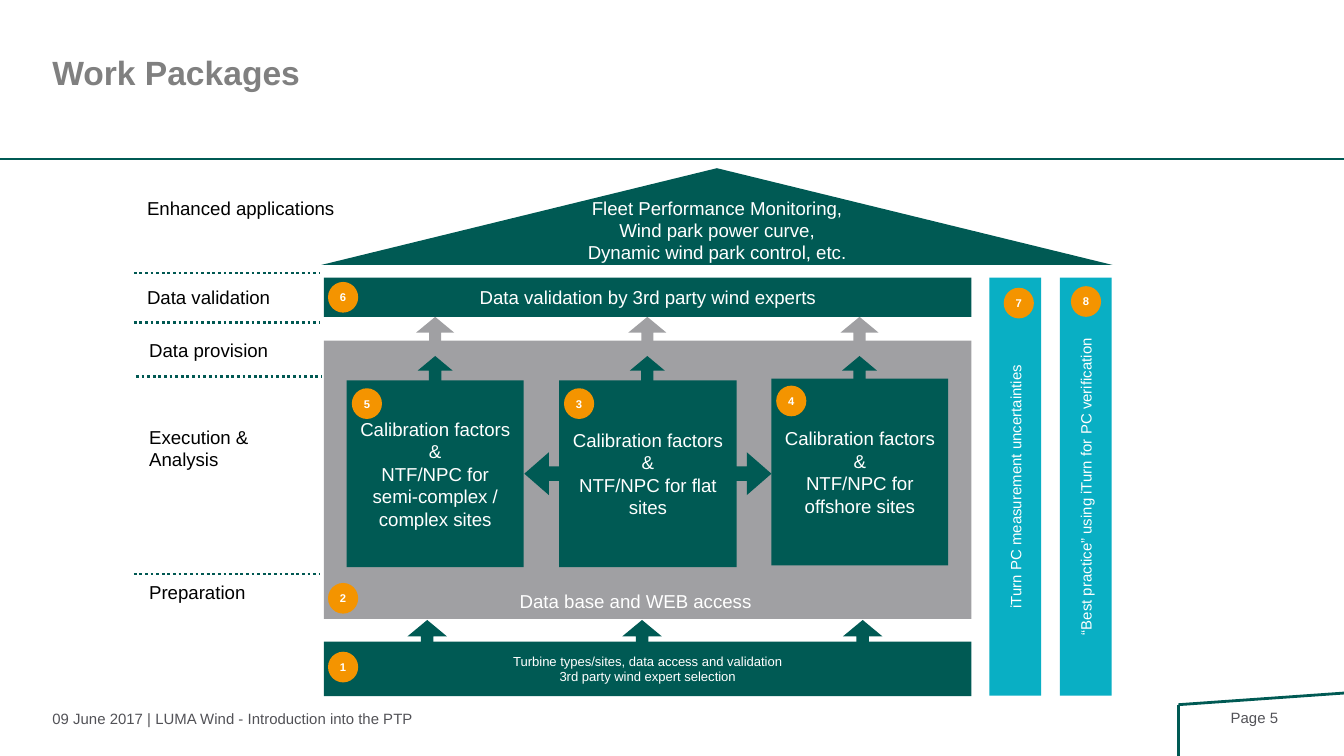
import pptx
import pptx.util
import pptx.dml.color
import pptx.enum.dml
import pptx.enum.shapes
import pptx.enum.text
import pptx.oxml.ns
from lxml import etree

Cm = pptx.util.Cm
Pt = pptx.util.Pt
SHAPES = pptx.enum.shapes.MSO_SHAPE
ALIGN = pptx.enum.text.PP_ALIGN
ANCHOR = pptx.enum.text.MSO_ANCHOR

GREEN, GREY, CYAN, ORANGE = "005A54", "A0A0A3", "09AFC4", "F49400"
WHITE, BLACK, TITLE_GREY, FOOTER_GREY = "FFFFFF", "000000", "808080", "525257"
DOTTED_GREEN = "005852"

WIDTH, HEIGHT = 25.4, 14.29
HOUSE_LEFT, HOUSE_WIDTH = 6.12, 12.24
COLUMNS = [6.65 + 4.01 * i for i in range(3)]
BASE_ARROWS = [6.35, 10.41, 14.58]
BADGE_WIDTH, BADGE_HEIGHT = 0.57, 0.58

CAPTIONS = [
    (2.53, 3.6, ["Enhanced applications"]),
    (2.53, 5.28, ["Data validation"]),
    (2.57, 6.27, ["Data provision"]),
    (2.57, 7.92, ["Execution &", "Analysis"]),
    (2.57, 10.85, ["Preparation"]),
]
DIVIDERS = [(2.53, 5.16), (2.53, 6.1), (2.57, 7.11), (2.53, 10.85)]
BANDS = [
    (12.13, 1.03, GREEN, 7, ["Turbine types/sites, data access and validation",
                             "3rd party wind expert selection"]),
    (6.44, 5.26, GREY, 10, []),
    (5.25, 0.74, GREEN, 10, ["Data validation by 3rd party wind experts"]),
]
ROOF = ["Fleet Performance Monitoring,", "Wind park power curve,",
        "Dynamic wind park control, etc."]
SITES = [
    (SHAPES.LEFT_RIGHT_ARROW_CALLOUT, 9.91, 7.19, 4.67,
     "NTF/NPC for flat sites", [0.078, 0.115, 0.132, 0.718]),
    (SHAPES.RECTANGLE, 14.58, 7.16, 3.34, "NTF/NPC for offshore sites", []),
    (SHAPES.RECTANGLE, 6.55, 7.19, 3.35,
     "NTF/NPC for semi-complex / complex sites", []),
]
PILLARS = [
    (18.7, "iTurn PC measurement uncertainties"),
    (20.03, "“Best practice” using iTurn for PC verification"),
]
BADGES = [
    ("1", 6.2, 12.32), ("2", 6.2, 11.02), ("6", 6.2, 5.33),
    ("5", COLUMNS[0], 7.34), ("3", COLUMNS[1], 7.34), ("4", COLUMNS[2], 7.29),
    ("7", 18.97, 5.44), ("8", 20.24, 5.41),
]
FRAME_LINES = [
    ((0, 3), (WIDTH, 3), 1),
    ((22.27, 13.32), (WIDTH, 13.1), 1.5),
    ((22.27, HEIGHT), (22.27, 13.32), 1.5),
]

deck = pptx.Presentation()
deck.slide_width, deck.slide_height = Cm(WIDTH), Cm(HEIGHT)
page = deck.slides.add_slide(deck.slide_layouts[6])


def color(value):
    return pptx.dml.color.RGBColor.from_string(value)


def write(box, lines, size, ink, align=ALIGN.LEFT, anchor=ANCHOR.TOP,
          bold=False, insets=(0.25, 0.13, 0.25, 0.13)):
    frame = box.text_frame
    frame.word_wrap = True
    frame.vertical_anchor = anchor
    (frame.margin_left, frame.margin_top,
     frame.margin_right, frame.margin_bottom) = [Cm(inset) for inset in insets]
    for index, line in enumerate(lines):
        para = frame.add_paragraph() if index else frame.paragraphs[0]
        para.alignment = align
        span = para.add_run()
        span.text = line
        span.font.name = "Arial"
        span.font.size = Pt(size)
        span.font.bold = bold
        span.font.color.rgb = color(ink)


def add_text(left, top, width, height, lines, size, ink, **style):
    box = page.shapes.add_textbox(Cm(left), Cm(top), Cm(width), Cm(height))
    write(box, lines, size, ink, **style)


def add_block(kind, left, top, width, height, fill, lines=(), size=10,
              adjustments=(), **style):
    block = page.shapes.add_shape(kind, Cm(left), Cm(top), Cm(width), Cm(height))
    block.shadow.inherit = False
    block.fill.solid()
    block.fill.fore_color.rgb = color(fill)
    block.line.fill.background()
    for index, value in enumerate(adjustments):
        block.adjustments[index] = value
    write(block, lines, size, WHITE, ALIGN.CENTER, ANCHOR.MIDDLE, **style)
    return block


def add_line(start, end, ink, weight, dash=None):
    line = page.shapes.add_connector(
        pptx.enum.shapes.MSO_CONNECTOR.STRAIGHT,
        Cm(start[0]), Cm(start[1]), Cm(end[0]), Cm(end[1]))
    line.line.color.rgb = color(ink)
    line.line.width = Pt(weight)
    if dash:
        line.line.dash_style = dash
    etree.SubElement(line._element.spPr, pptx.oxml.ns.qn("a:effectLst"))


def add_up_arrows(lefts, top, width, height, fill, adjustments):
    for left in lefts:
        add_block(SHAPES.UP_ARROW_CALLOUT, left, top, width, height, fill,
                  adjustments=adjustments)


for start, end, weight in FRAME_LINES:
    add_line(start, end, GREEN, weight)
add_text(0.99, 0.99, 18.01, 1.6, ["Work Packages"], 18, TITLE_GREY,
         bold=True, insets=(0, 0, 0, 0.13))
add_text(0.99, 13.41, 9, 0.61,
         ["09 June 2017 | LUMA Wind - Introduction into the PTP"],
         8, FOOTER_GREY, insets=(0, 0, 0, 0))
add_text(23.01, 13.39, 2.01, 0.61, ["Page 5"], 8, FOOTER_GREY,
         insets=(0.25, 0, 0.1, 0))

add_up_arrows(COLUMNS, 5.99, 3.15, 1.19, GREY, [0.191, 0.301, 0.25, 0.3])
add_up_arrows(BASE_ARROWS, 11.72, 3.45, 1.24, GREEN, [0.191, 0.301, 0.25, 0.65])
for top, height, fill, size, lines in BANDS:
    add_block(SHAPES.RECTANGLE, HOUSE_LEFT, top, HOUSE_WIDTH, height, fill,
              lines, size)
add_block(SHAPES.ISOSCELES_TRIANGLE, 6.07, 3.18, 14.96, 1.83, GREEN, ROOF,
          insets=(0, 0, 0, 0.41))
for kind, left, top, width, scope, adjustments in SITES:
    add_block(kind, left, top, width, 3.53, GREEN,
              ["Calibration factors &", scope], adjustments=adjustments)
add_up_arrows(COLUMNS, 6.73, 3.15, 0.76, GREEN, [0.306, 0.435, 0.364, 0.268])
for left, label in PILLARS:
    pillar = add_block(SHAPES.RECTANGLE, left, 5.25, 0.98, 7.9, CYAN, [label], 8)
    pillar.text_frame._txBody.bodyPr.set("vert", "vert270")

for left, top in DIVIDERS:
    add_line((left, top), (left + 3.52, top), DOTTED_GREEN, 1.5,
             pptx.enum.dml.MSO_LINE.ROUND_DOT)
for left, top, lines in CAPTIONS:
    add_text(left, top, 4.5, 0.89, lines, 10, BLACK)
add_text(9.47, 11.02, 5.08, 0.71, ["Data base and WEB access"], 10, WHITE,
         align=ALIGN.CENTER)
for number, left, top in BADGES:
    add_block(SHAPES.OVAL, left, top, BADGE_WIDTH, BADGE_HEIGHT, ORANGE,
              [number], 6, bold=True, insets=(0, 0, 0, 0))

deck.save("out.pptx")
